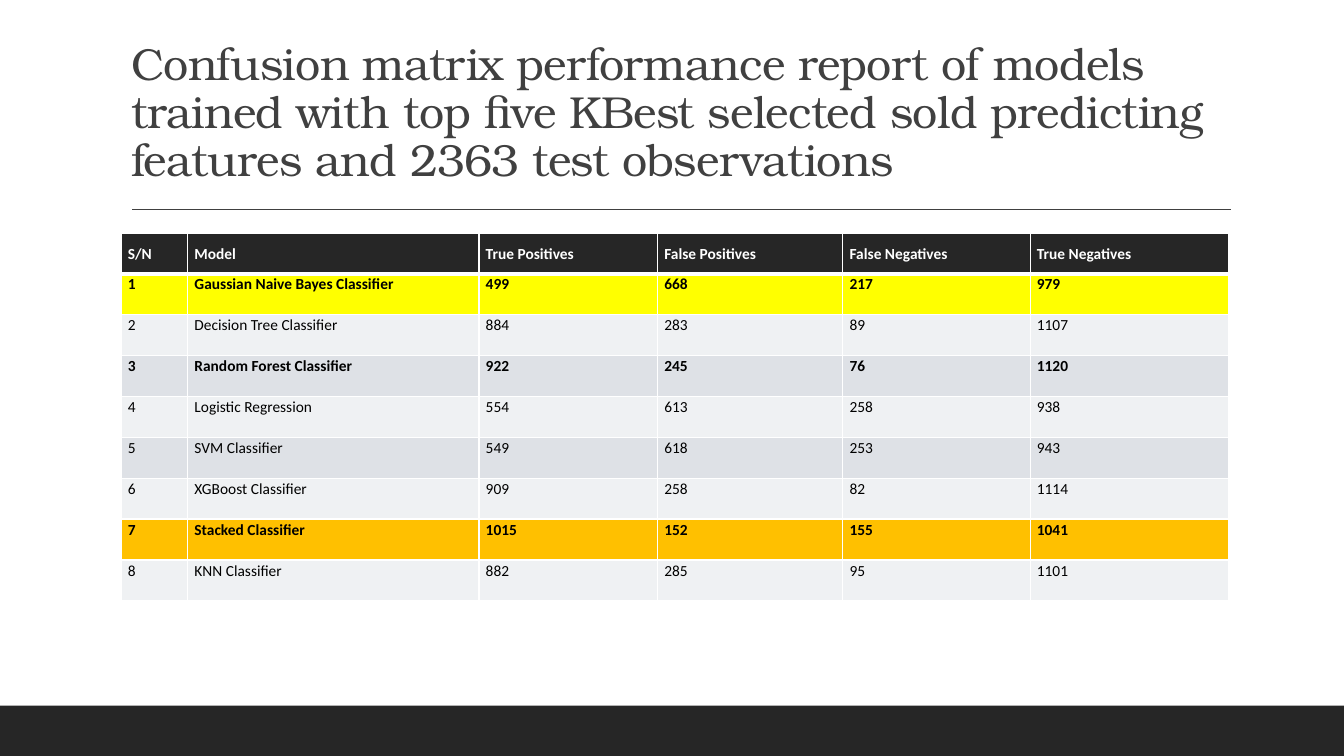
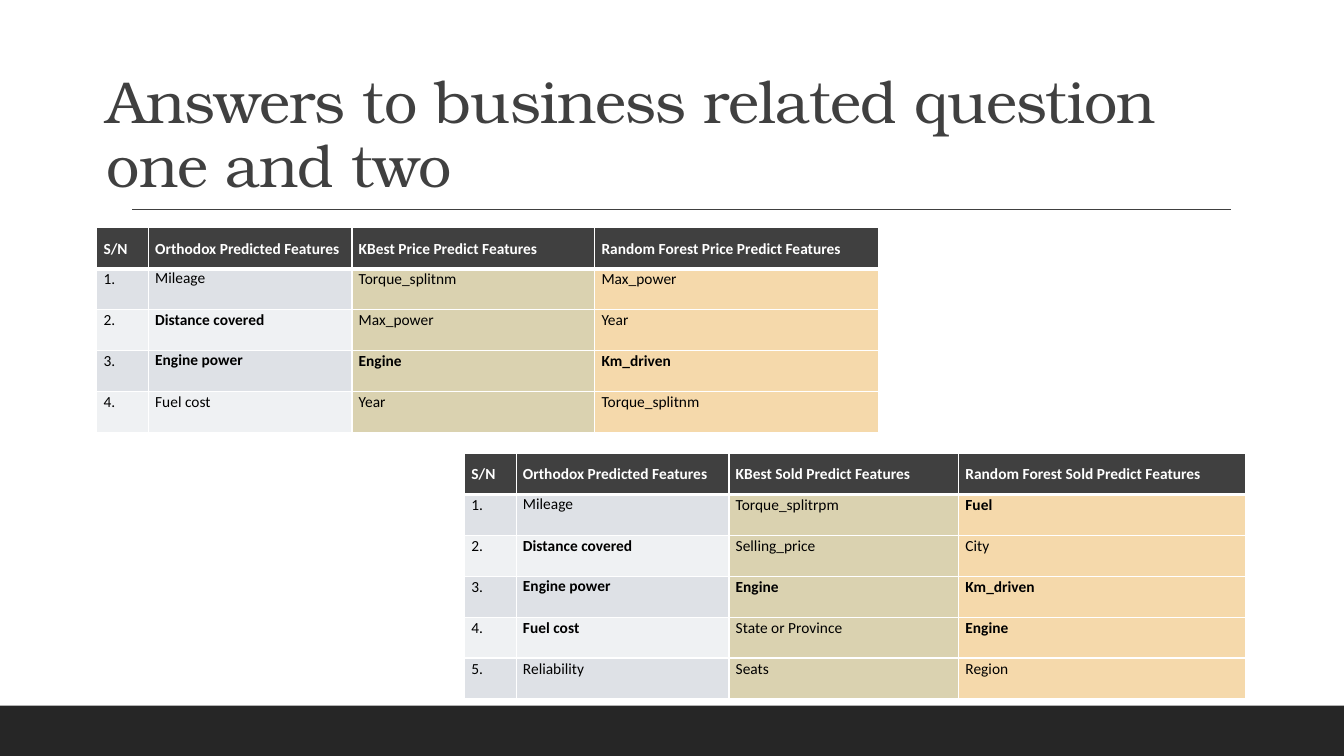
import lxml.etree
import pptx
import pptx.dml.color
import pptx.enum.shapes
import pptx.enum.text
import pptx.oxml.ns
import pptx.util

Cm, Pt = pptx.util.Cm, pptx.util.Pt
ALIGN = pptx.enum.text.PP_ALIGN
ANCHOR = pptx.enum.text.MSO_ANCHOR
qn = pptx.oxml.ns.qn

# Shared look
HUES = {
    "white": "FFFFFF", "black": "000000", "band": "262626", "text": "404040",
    "odd": "DEE1E6", "even": "EFF1F3", "low": "FFFF00", "top": "FFC000",
    "sand": "DAD2B0", "peach": "F5D9AB",
}
WIDE, HIGH = 33.87, 19.05
ROW = 1.03
CELL = {"margin_left": Cm(0.17), "margin_right": Cm(0.17),
        "margin_top": 0, "margin_bottom": 0}
BODY = {"alignment": ALIGN.JUSTIFY, "line_spacing": 1.07}
PLAIN = {"Mileage", "Engine power"}  # cells with single line spacing

# Content: a leading * marks a bold cell
SCORES = [
    ["S/N", "Model", "True Positives", "False Positives",
     "False Negatives", "True Negatives"],
    ["*1", "*Gaussian Naive Bayes Classifier", "*499", "*668", "*217", "*979"],
    ["2", "Decision Tree Classifier", "884", "283", "89", "1107"],
    ["*3", "*Random Forest Classifier", "*922", "*245", "*76", "*1120"],
    ["4", "Logistic Regression", "554", "613", "258", "938"],
    ["5", "SVM Classifier", "549", "618", "253", "943"],
    ["6", "XGBoost Classifier", "909", "258", "82", "1114"],
    ["*7", "*Stacked Classifier", "*1015", "*152", "*155", "*1041"],
    ["8", "KNN Classifier", "882", "285", "95", "1101"],
]
PRICE = [
    ["S/N", "Orthodox Predicted Features", "KBest Price Predict Features",
     "Random Forest Price Predict Features"],
    ["1.", "Mileage", "Torque_splitnm", "Max_power"],
    ["2.", "*Distance covered", "Max_power", "Year"],
    ["3.", "*Engine power", "*Engine", "*Km_driven"],
    ["4.", "Fuel cost", "Year", "Torque_splitnm"],
]
SOLD = [
    ["S/N", "Orthodox Predicted Features", "KBest Sold Predict Features",
     "Random Forest Sold Predict Features"],
    ["1.", "Mileage", "Torque_splitrpm", "*Fuel"],
    ["2.", "*Distance covered", "Selling_price", "City"],
    ["3.", "*Engine power", "*Engine", "*Km_driven"],
    ["4.", "*Fuel cost", "State or Province", "*Engine"],
    ["5.", "Reliability", "Seats", "Region"],
]


def tint(name):
    return pptx.dml.color.RGBColor.from_string(HUES[name])


def apply(item, looks):
    for key, val in looks.items():
        setattr(item, key, val)


def paint(fill, name):
    fill.solid()
    fill.fore_color.rgb = tint(name)


def style(font, hue, **looks):
    apply(font, looks)
    font.color.rgb = tint(hue)


def add_base(slide):
    # Bottom band
    band = slide.shapes.add_shape(
        pptx.enum.shapes.MSO_SHAPE.RECTANGLE,
        0, Cm(17.78), Cm(WIDE), Cm(HIGH - 17.78))
    band.shadow.inherit = False
    paint(band.fill, "band")
    band.line.fill.background()
    # Rule under the title
    rule = slide.shapes.add_connector(
        pptx.enum.shapes.MSO_CONNECTOR.STRAIGHT,
        Cm(3.33), Cm(5.28), Cm(31.01), Cm(5.28))
    rule.line.width = Pt(1)
    rule.line.color.rgb = tint("text")
    lxml.etree.SubElement(rule._element.spPr, qn("a:effectLst"))


def add_slide(deck, text, size, left, top, width, height):
    slide = deck.slides.add_slide(deck.slide_layouts[5])
    add_base(slide)
    title = slide.shapes.title
    apply(title, {"left": Cm(left), "top": Cm(top),
                  "width": Cm(width), "height": Cm(height)})
    frame = title.text_frame
    apply(frame, {"word_wrap": True, "vertical_anchor": ANCHOR.BOTTOM,
                  "auto_size": pptx.enum.text.MSO_AUTO_SIZE.NONE})
    para = frame.paragraphs[0]
    apply(para, {"alignment": ALIGN.LEFT, "line_spacing": 0.9})
    run = para.add_run()
    run.text = text
    style(run.font, "text", name="TeX Gyre Bonum", size=Pt(size))
    run._r.get_or_add_rPr().set("spc", "-50")
    return slide


def add_edges(cell, top, base):
    props = cell._tc.get_or_add_tcPr()
    for side, size in (("L", 1), ("R", 1), ("T", top), ("B", base)):
        line = lxml.etree.SubElement(props, qn(f"a:ln{side}"), w=str(Pt(size)))
        fill = lxml.etree.SubElement(line, qn("a:solidFill"))
        lxml.etree.SubElement(fill, qn("a:srgbClr"), val=HUES["white"])


def fill_cell(cell, text, hue, head):
    apply(cell, CELL)
    cell.vertical_anchor = ANCHOR.MIDDLE if head else ANCHOR.TOP
    paint(cell.fill, hue)
    word = text.lstrip("*")
    para = cell.text_frame.paragraphs[0]
    if word not in PLAIN:
        apply(para, BODY)
    run = para.add_run()
    run.text = word
    style(run.font, "white" if head else "black", name="Calibri",
          size=Pt(11), bold=head or word != text)


def add_grid(slide, data, left, top, cols, head, rows=None, tones=None):
    """Fill hues come from tones by column, rows by row, else alternate."""
    rows, tones = rows or {}, tones or {}
    table = slide.shapes.add_table(
        len(data), len(cols), Cm(left), Cm(top),
        Cm(sum(cols)), Cm(ROW * len(data))).table
    for col, width in zip(table.columns, cols):
        col.width = Cm(width)
    for r, line in enumerate(data):
        table.rows[r].height = Cm(ROW)
        shade = rows.get(r, "odd" if r % 2 else "even")
        for c, text in enumerate(line):
            cell = table.cell(r, c)
            add_edges(cell, 3 if r == 1 else 1, 3 if r == 0 else 1)
            hue = tones.get(c, shade) if r else head
            fill_cell(cell, text, hue, r == 0)


def main():
    deck = pptx.Presentation()
    apply(deck, {"slide_width": Cm(WIDE), "slide_height": Cm(HIGH)})

    # Confusion matrix
    slide = add_slide(
        deck, "Confusion matrix performance report of models trained with "
        "top five KBest selected sold predicting features and 2363 test "
        "observations", 32, 3.05, 0.79, 27.94, 4.04)
    add_grid(slide, SCORES, 3.05, 5.87, [1.68, 7.34, 4.5, 4.67, 4.72, 5],
             "band", rows={1: "low", 7: "top"})

    # Business questions
    slide = add_slide(
        deck, "Answers to business related question one and two",
        42.3, 2.44, 1.78, 28.98, 3.4)
    tones = {2: "sand", 3: "peach"}
    add_grid(slide, PRICE, 2.44, 5.74, [1.3, 5.13, 6.12, 7.16],
             "text", tones=tones)
    add_grid(slide, SOLD, 11.71, 11.43, [1.3, 5.36, 5.79, 7.24],
             "text", tones=tones)

    deck.save("out.pptx")


if __name__ == "__main__":
    main()
